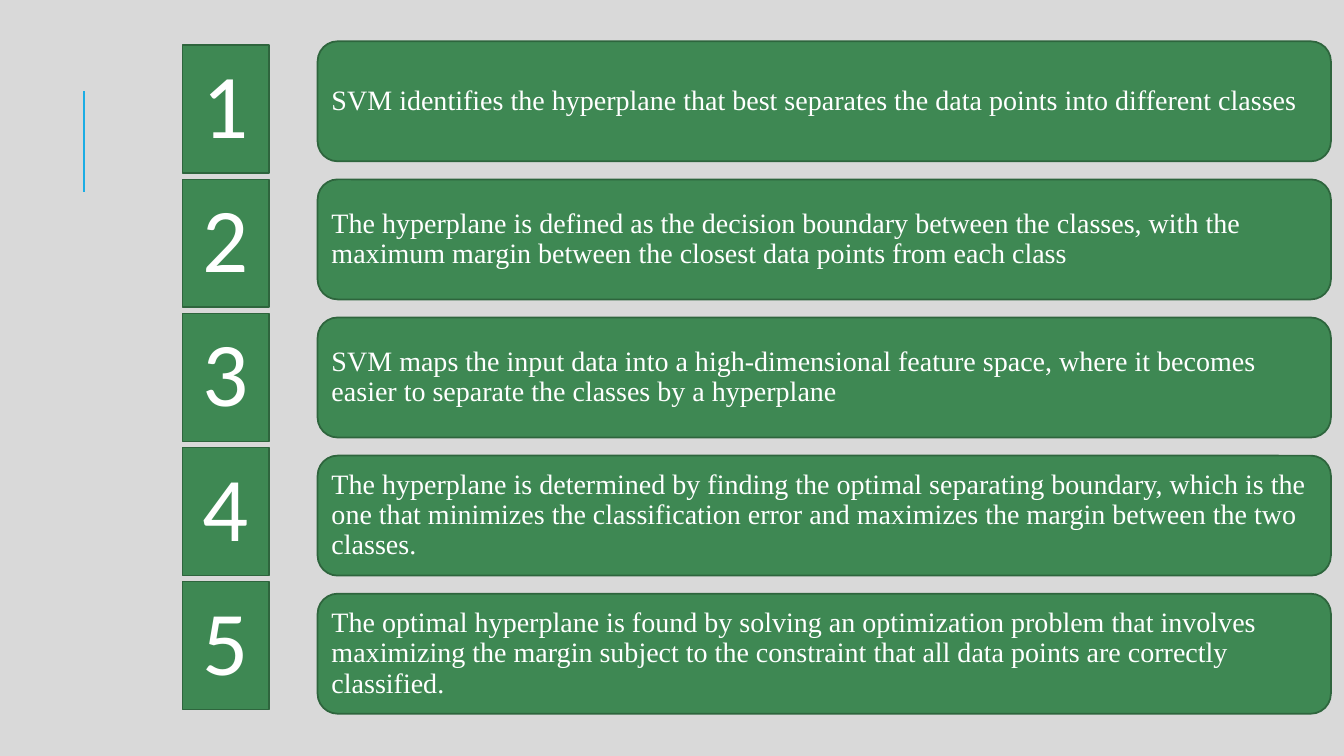
from lxml import etree
from pptx import Presentation
from pptx import util as u
from pptx.dml.color import RGBColor
from pptx.enum import shapes, text
from pptx.oxml import ns

STEPS = [
    "SVM identifies the hyperplane that best separates the data points into different classes",
    "The hyperplane is defined as the decision boundary between the classes, with the maximum margin between the closest data points from each class",
    "SVM maps the input data into a high-dimensional feature space, where it becomes easier to separate the classes by a hyperplane",
    "The hyperplane is determined by finding the optimal separating boundary, which is the one that minimizes the classification error and maximizes the margin between the two classes.",
    "The optimal hyperplane is found by solving an optimization problem that involves maximizing the margin subject to the constraint that all data points are correctly classified.",
]


def color(value):
    return RGBColor.from_string(value)


class StepSlide:
    background = "D9D9D9"
    fill = "3E8853"
    outline = "2E653D"
    accent = "1CADE4"
    font_color = "FFFFFF"

    def __init__(self, presentation):
        self.slide = presentation.slides.add_slide(presentation.slide_layouts[6])
        self.slide.background.fill.solid()
        self.slide.background.fill.fore_color.rgb = color(self.background)

    def accent_line(self, x, top, bottom):
        line = self.slide.shapes.add_connector(
            shapes.MSO_CONNECTOR.STRAIGHT,
            u.Inches(x), u.Inches(bottom), u.Inches(x), u.Inches(top))
        line.line.color.rgb = color(self.accent)
        line.line.width = u.Pt(1.5)
        etree.SubElement(line._element.spPr, ns.qn("a:effectLst"))

    def box(self, kind, bounds, wording, font, size, inset, alignment):
        shape = self.slide.shapes.add_shape(kind, *map(u.Inches, bounds))
        shape.shadow.inherit = False
        shape.fill.solid()
        shape.fill.fore_color.rgb = color(self.fill)
        shape.line.color.rgb = color(self.outline)
        shape.line.width = u.Pt(1.25)
        frame = shape.text_frame
        frame.text = wording
        frame.word_wrap = True
        frame.vertical_anchor = text.MSO_ANCHOR.MIDDLE
        frame.margin_left = frame.margin_right = u.Inches(inset)
        frame.margin_top = frame.margin_bottom = u.Inches(inset)
        paragraph = frame.paragraphs[0]
        paragraph.alignment = alignment
        paragraph.line_spacing = 0.9
        run = paragraph.runs[0]
        run.font.name = font
        run.font.size = u.Pt(size)
        run.font.color.rgb = color(self.font_color)

    def statement(self, index, wording):
        self.box(shapes.MSO_SHAPE.ROUNDED_RECTANGLE,
                 (3.15, 0.41 + 1.37 * index, 10.05, 1.19),
                 wording, "Times New Roman", 20, 0.08, text.PP_ALIGN.LEFT)

    def number(self, index):
        self.box(shapes.MSO_SHAPE.RECTANGLE,
                 (1.81, 0.45 + 1.33 * index, 0.86, 1.27),
                 str(index + 1), "Calibri", 65, 0.18, text.PP_ALIGN.CENTER)


def main():
    presentation = Presentation()
    presentation.slide_width = u.Inches(13.33)
    presentation.slide_height = u.Inches(7.5)
    step_slide = StepSlide(presentation)
    step_slide.accent_line(0.83, 0.9, 1.9)
    for index, wording in enumerate(STEPS):
        step_slide.statement(index, wording)
        step_slide.number(index)
    presentation.save("out.pptx")


if __name__ == "__main__":
    main()
